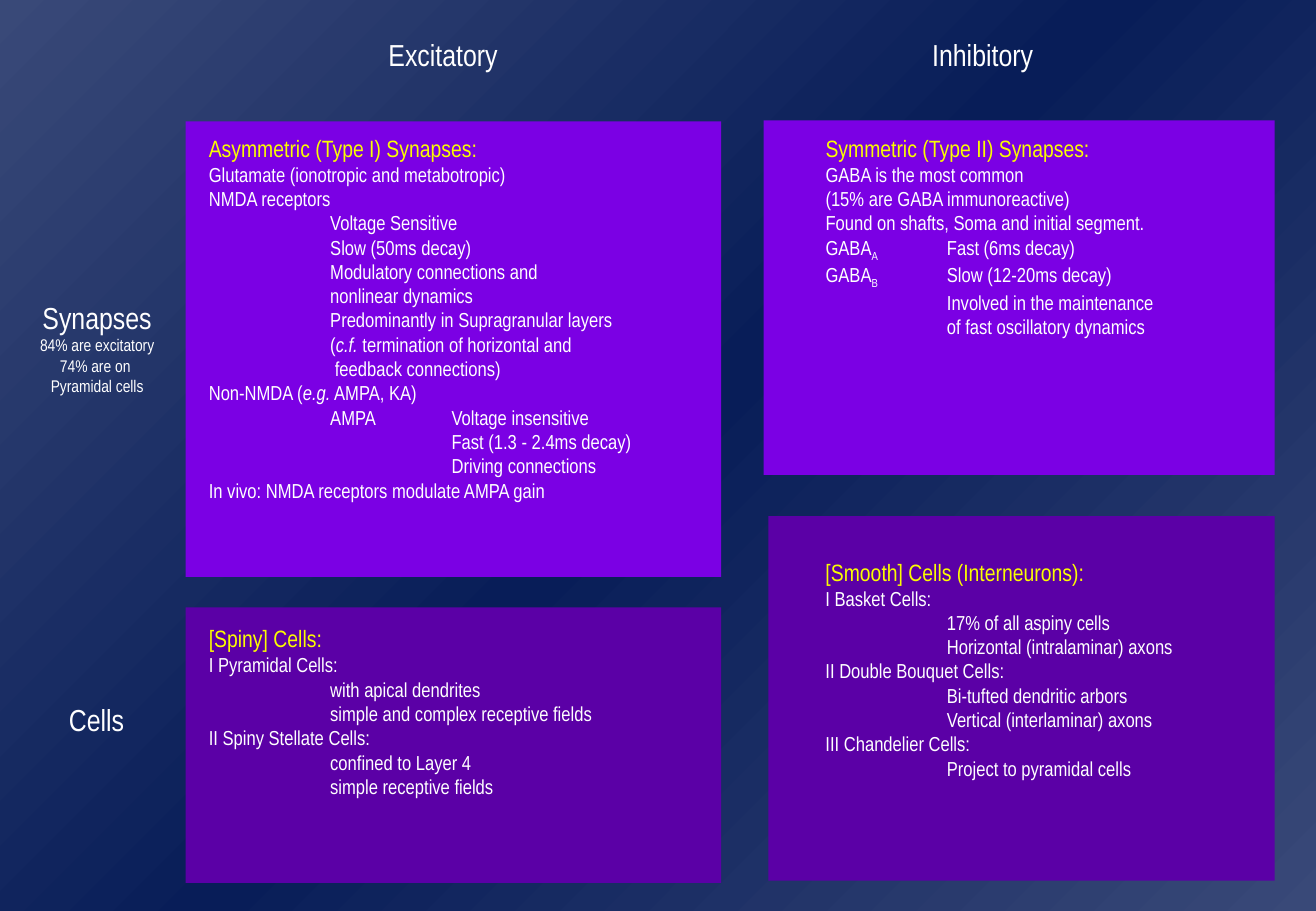
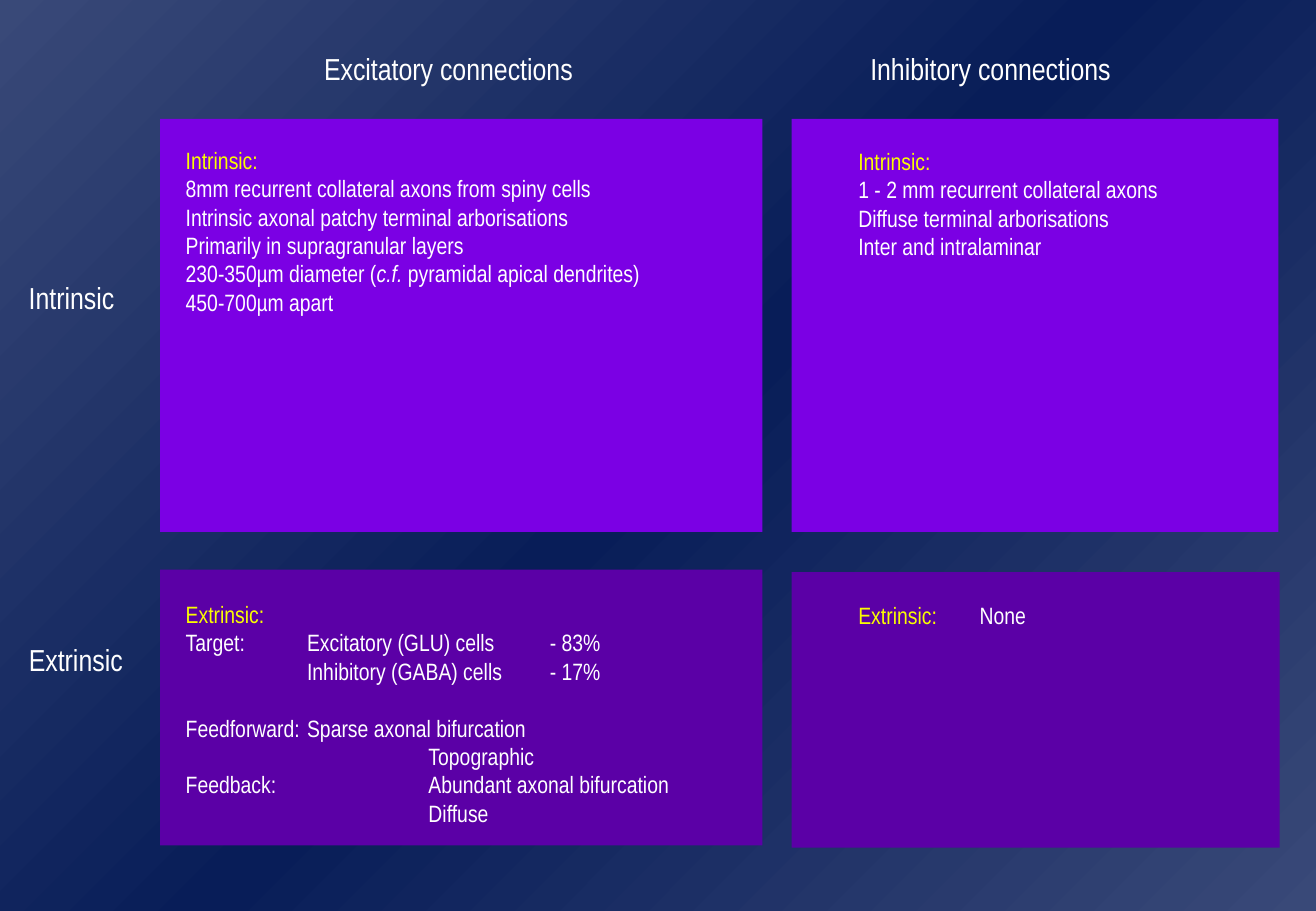
"""Build two slides comparing excitatory and inhibitory cortical circuitry."""
from copy import deepcopy
from dataclasses import dataclass

from pptx import Presentation
from pptx import util as u
from pptx.dml.color import RGBColor
from pptx.enum import shapes, text
from pptx.oxml import ns
from pptx.oxml import xmlchemy


@dataclass(frozen=True)
class Theme:
    font: str = "Arial Narrow"
    white: RGBColor = RGBColor(0xFF, 0xFF, 0xFF)
    yellow: RGBColor = RGBColor(0xFA, 0xFD, 0x00)
    violet: RGBColor = RGBColor(0x7B, 0x00, 0xE4)
    purple: RGBColor = RGBColor(0x5B, 0x00, 0xA6)
    slate: RGBColor = RGBColor(0x39, 0x49, 0x78)
    navy: RGBColor = RGBColor(0x08, 0x1D, 0x58)
    label_size: int = 18
    heading_size: int = 14
    body_size: int = 12
    note_size: int = 10
    tab_stops: tuple = (1, 2, 3)


@dataclass(frozen=True)
class Accent:
    text: str
    kind: str


def heading(words):
    return Accent(words, "heading")


def italic(words):
    return Accent(words, "italic")


def subscript(words):
    return Accent(words, "subscript")


class Deck:
    def __init__(self, theme):
        self.theme = theme
        self.prs = Presentation()
        self.prs.slide_width = u.Inches(10.84)
        self.prs.slide_height = u.Inches(7.5)
        self.slide = None
        self.set_background()

    def set_background(self):
        master = self.prs.slide_master
        fill = master.background.fill
        fill.gradient()
        fill.gradient_angle = 135
        stop_list = master.element.find(".//" + ns.qn("a:gsLst"))
        stop_list.append(deepcopy(stop_list[0]))
        colors = (self.theme.slate, self.theme.navy, self.theme.slate)
        for stop, position, color in zip(fill.gradient_stops, (0, 0.5, 1), colors):
            stop.position = position
            stop.color.rgb = color

    def new_slide(self):
        self.slide = self.prs.slides.add_slide(self.prs.slide_layouts[6])

    def style(self, run, size, color):
        run.font.name = self.theme.font
        run.font.size = u.Pt(size)
        run.font.color.rgb = color

    def add_tabs(self, paragraph):
        properties = paragraph._p.get_or_add_pPr()
        tabs = xmlchemy.OxmlElement("a:tabLst")
        for inches in self.theme.tab_stops:
            tab = xmlchemy.OxmlElement("a:tab")
            tab.set("pos", str(u.Inches(inches)))
            tab.set("algn", "l")
            tabs.append(tab)
        properties.append(tabs)

    def write_line(self, paragraph, line, size):
        pieces = line if isinstance(line, tuple) else (line,)
        for piece in pieces:
            accent = piece if isinstance(piece, Accent) else Accent(piece, "body")
            run = paragraph.add_run()
            run.text = accent.text
            if accent.kind == "heading":
                self.style(run, self.theme.heading_size, self.theme.yellow)
            else:
                self.style(run, size, self.theme.white)
            if accent.kind == "italic":
                run.font.italic = True
            if accent.kind == "subscript":
                run._r.get_or_add_rPr().set("baseline", "-25000")

    def panel(self, box, inset, color, lines, size=None, gap_at=None):
        size = size or self.theme.body_size
        panel = self.slide.shapes.add_shape(
            shapes.MSO_SHAPE.RECTANGLE, *map(u.Inches, box))
        panel.shadow.inherit = False
        panel.fill.solid()
        panel.fill.fore_color.rgb = color
        panel.line.fill.background()
        frame = panel.text_frame
        frame.word_wrap = True
        frame.vertical_anchor = text.MSO_ANCHOR.TOP
        frame.margin_left, frame.margin_top = map(u.Inches, inset)
        frame.margin_right = frame.margin_bottom = 0
        for index, line in enumerate(lines):
            paragraph = frame.add_paragraph() if index else frame.paragraphs[0]
            paragraph.alignment = text.PP_ALIGN.LEFT
            self.add_tabs(paragraph)
            if index == gap_at:
                paragraph.space_before = u.Pt(16.8)
            self.write_line(paragraph, line, size)

    def label(self, left, top, width, title, notes=(), height=0.4):
        label = self.slide.shapes.add_textbox(
            *map(u.Inches, (left, top, width, height)))
        frame = label.text_frame
        frame.word_wrap = False
        frame.auto_size = text.MSO_AUTO_SIZE.SHAPE_TO_FIT_TEXT
        frame.margin_left = frame.margin_right = u.Inches(0.02)
        frame.text = "\n".join((title, *notes))
        for index, paragraph in enumerate(frame.paragraphs):
            paragraph.alignment = text.PP_ALIGN.CENTER
            size = self.theme.note_size if index else self.theme.label_size
            self.style(paragraph.runs[0], size, self.theme.white)


def build_synapses_and_cells(deck):
    theme = deck.theme
    deck.new_slide()
    deck.label(3.1, 0.25, 1.1, "Excitatory")
    deck.label(7.58, 0.25, 1.03, "Inhibitory")
    deck.label(0.23, 2.41, 1.14, "Synapses",
               ("84% are excitatory", "74% are on ", "Pyramidal cells"), 1.06)
    deck.label(0.47, 5.72, 0.65, "Cells")
    deck.panel((1.53, 1, 4.41, 3.75), (0.19, 0.1), theme.violet, (
        heading("Asymmetric (Type I) Synapses:"),
        "Glutamate (ionotropic and metabotropic)",
        "NMDA receptors",
        "\tVoltage Sensitive",
        "\tSlow (50ms decay)",
        "\tModulatory connections and",
        "\tnonlinear dynamics",
        "\tPredominantly in Supragranular layers",
        ("\t(", italic("c.f."), " termination of horizontal and"),
        "\t feedback connections)",
        ("Non-NMDA (", italic("e.g."), " AMPA, KA)"),
        "\tAMPA\tVoltage insensitive",
        "\t\tFast (1.3 - 2.4ms decay)",
        "\t\tDriving connections",
        "In vivo: NMDA receptors modulate AMPA gain",
    ))
    deck.panel((6.29, 0.99, 4.21, 2.92), (0.51, 0.11), theme.violet, (
        heading("Symmetric (Type II) Synapses:"),
        "GABA is the most common",
        "(15% are GABA immunoreactive)",
        "Found on shafts, Soma and initial segment.",
        ("GABA", subscript("A"), "\tFast (6ms decay)"),
        ("GABA", subscript("B"), "\tSlow (12-20ms decay)"),
        "\tInvolved in the maintenance",
        "\tof fast oscillatory dynamics",
    ))
    deck.panel((1.53, 5, 4.41, 2.27), (0.19, 0.14), theme.purple, (
        heading("[Spiny] Cells:"),
        "I Pyramidal Cells:",
        "\twith apical dendrites",
        "\tsimple and complex receptive fields",
        "II Spiny Stellate Cells:",
        "\tconfined to Layer 4",
        "\tsimple receptive fields",
    ))
    deck.panel((6.33, 4.25, 4.17, 3), (0.47, 0.34), theme.purple, (
        heading("[Smooth] Cells (Interneurons):"),
        "I Basket Cells:",
        "\t17% of all aspiny cells",
        "\tHorizontal (intralaminar) axons",
        "II Double Bouquet Cells:",
        "\tBi-tufted dendritic arbors",
        "\tVertical (interlaminar) axons",
        "III Chandelier Cells:",
        "\tProject to pyramidal cells",
    ))


def build_connections(deck):
    theme = deck.theme
    size = theme.heading_size
    deck.new_slide()
    deck.label(2.57, 0.36, 2.25, "Excitatory connections")
    deck.label(7.07, 0.36, 2.18, "Inhibitory connections")
    deck.label(0.14, 2.25, 0.9, "Intrinsic")
    deck.label(0.14, 5.23, 0.97, "Extrinsic")
    deck.panel((1.32, 0.98, 4.96, 3.4), (0.21, 0.22), theme.violet, (
        heading("Intrinsic:"),
        "8mm recurrent collateral axons from spiny cells",
        "Intrinsic axonal patchy terminal arborisations",
        "Primarily in supragranular layers",
        ("230-350µm diameter (", italic("c.f. "), "pyramidal apical dendrites)"),
        "450-700µm apart",
    ), size)
    deck.panel((6.52, 0.98, 4.01, 3.4), (0.55, 0.23), theme.violet, (
        heading("Intrinsic:"),
        "1 - 2 mm recurrent collateral axons",
        "Diffuse terminal arborisations",
        "Inter and intralaminar",
    ), size)
    deck.panel((1.32, 4.69, 4.96, 2.27), (0.21, 0.25), theme.purple, (
        heading("Extrinsic:"),
        "Target:\tExcitatory (GLU) cells\t- 83%",
        "\tInhibitory (GABA) cells\t- 17%",
        "Feedforward:\tSparse axonal bifurcation",
        "\t\tTopographic",
        "Feedback:\t\tAbundant axonal bifurcation",
        "\t\tDiffuse",
    ), size, gap_at=3)
    deck.panel((6.52, 4.71, 4.02, 2.27), (0.55, 0.24), theme.purple, (
        (heading("Extrinsic:"), "\tNone"),
    ), size)


def main():
    deck = Deck(Theme())
    build_synapses_and_cells(deck)
    build_connections(deck)
    deck.prs.save("out.pptx")


if __name__ == "__main__":
    main()
